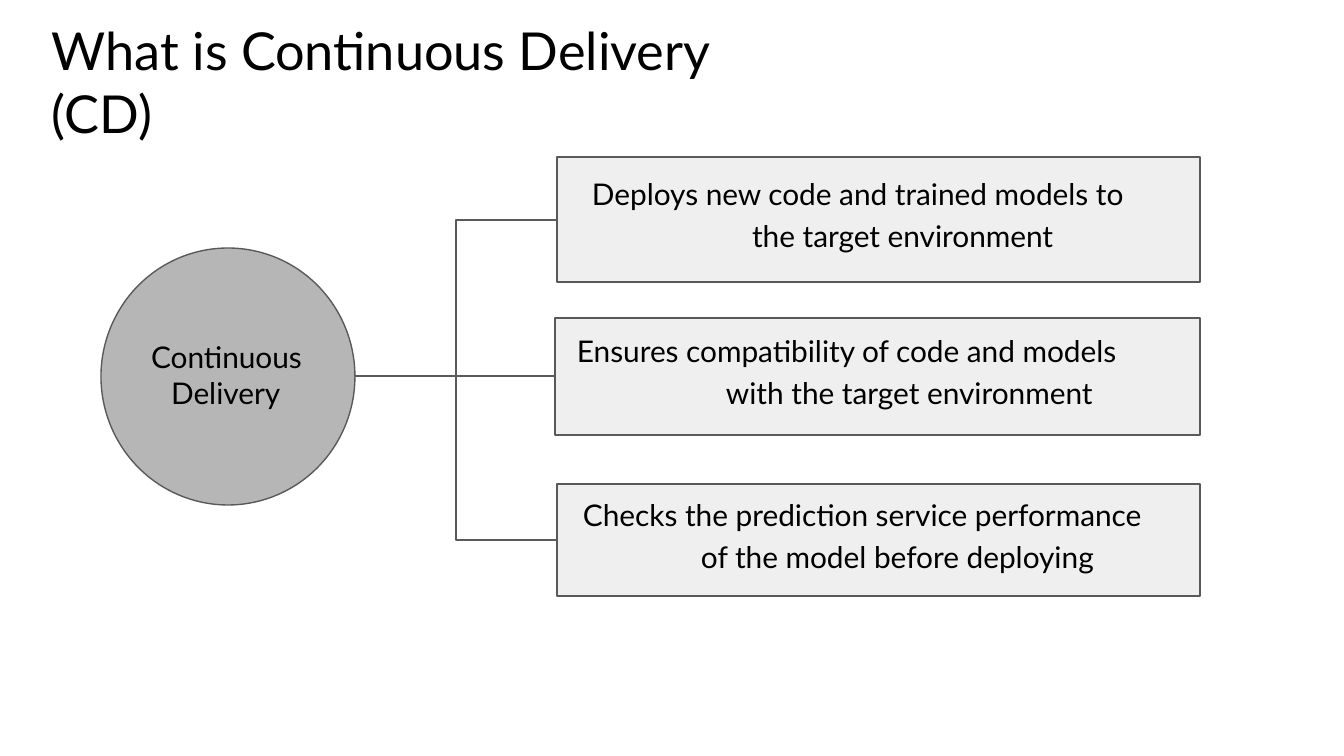
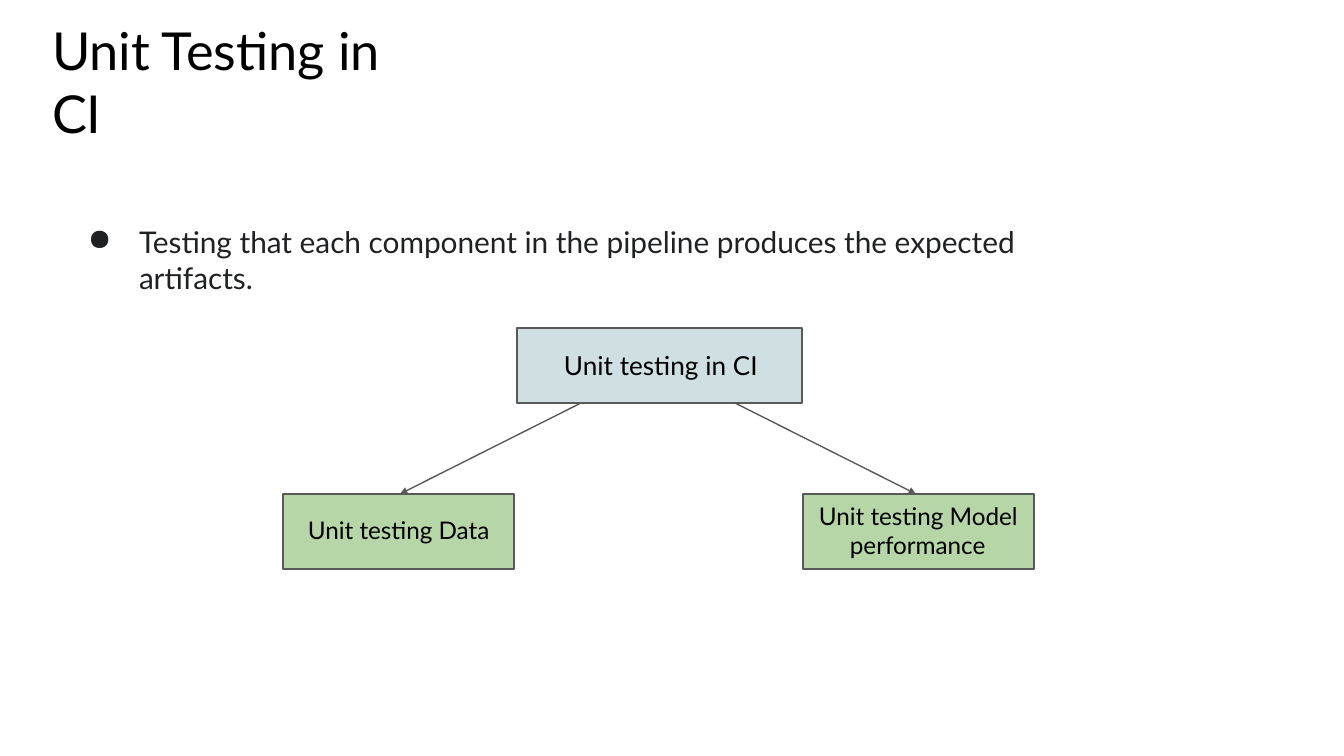
"""Build two slides on continuous delivery and on unit testing in CI."""
from lxml.etree import SubElement
from pptx import Presentation
from pptx.dml.color import RGBColor
from pptx.enum.shapes import MSO_CONNECTOR, MSO_SHAPE
from pptx.enum.text import MSO_ANCHOR, PP_ALIGN
from pptx.oxml.ns import qn
from pptx.util import Pt

PX = 9144000 / 1344
FONT = "Lato"
BLACK = RGBColor(0x00, 0x00, 0x00)
INK = RGBColor(0x1F, 0x21, 0x23)
OUTLINE = RGBColor(0x59, 0x59, 0x59)
CIRCLE_GREY = RGBColor(0xB6, 0xB6, 0xB6)
BOX_GREY = RGBColor(0xEF, 0xEF, 0xEF)
BLUE = RGBColor(0xCF, 0xDF, 0xE2)
GREEN = RGBColor(0xB6, 0xD6, 0xA8)


def add_text(slide, bounds, text, size, insets=(0, 1, 10), hang=(0, 0),
             spacing=1.0, color=BLACK, fill=None, preset=MSO_SHAPE.RECTANGLE, bullet=None):
    """Add text in a filled, outlined shape, or in a plain box without a fill."""
    place = [round(length * PX) for length in bounds]
    if fill is None:
        shape = slide.shapes.add_textbox(*place)
    else:
        shape = slide.shapes.add_shape(preset, *place)
        shape.shadow.inherit = False
        shape.fill.solid()
        shape.fill.fore_color.rgb = fill
        shape.line.color.rgb = OUTLINE
        shape.line.width = Pt(0.75)
    left, top, right = (round(inset * PX) for inset in insets)
    frame = shape.text_frame
    frame_format = {"word_wrap": True, "vertical_anchor": MSO_ANCHOR.TOP, "margin_left": left,
                    "margin_top": top, "margin_right": right, "margin_bottom": 0}
    for name, value in frame_format.items():
        setattr(frame, name, value)
    paragraph = frame.paragraphs[0]
    paragraph.text = text
    paragraph.alignment = PP_ALIGN.LEFT
    paragraph.line_spacing = spacing
    properties = paragraph._p.get_or_add_pPr()
    for name, value in zip(("marL", "indent"), hang):
        properties.set(name, str(round(value * PX)))
    if bullet:
        SubElement(properties, qn("a:buChar")).set("char", bullet)
    font = paragraph.runs[0].font
    for name, value in {"name": FONT, "size": Pt(size)}.items():
        setattr(font, name, value)
    font.color.rgb = color


def add_line(slide, kind, ends, arrow=False):
    """Join two points with a thin line, with an arrowhead if asked."""
    line = slide.shapes.add_connector(kind, *[round(length * PX) for length in ends])
    line.line.color.rgb = OUTLINE
    line.line.width = Pt(0.75)
    if arrow:
        head = SubElement(line.line._get_or_add_ln(), qn("a:tailEnd"))
        for name, value in {"type": "triangle", "w": "sm", "len": "sm"}.items():
            head.set(name, value)
    SubElement(line._element.spPr, qn("a:effectLst"))


presentation = Presentation()
presentation.slide_width = round(1344 * PX)
presentation.slide_height = round(756 * PX)

slides = []
for title, width in (("What is Continuous Delivery (CD)", 774), ("Unit Testing in CI", 393)):
    slide = presentation.slides.add_slide(presentation.slide_layouts[6])
    add_text(slide, (51, 17, width, 66), title, 28, hang=(1, 0))
    slides.append(slide)
delivery_slide, testing_slide = slides

add_text(delivery_slide, (101, 248, 254, 257), "Continuous Delivery", 16, (12, 53, 8),
         (21, -20), fill=CIRCLE_GREY, preset=MSO_SHAPE.OVAL)
circle_right, circle_middle = 355, 376
tasks = (
    ("Deploys new code and trained models to the target environment",
     (557, 157, 643, 125), (34, 13, 42), (161, -160), MSO_CONNECTOR.ELBOW, 220),
    ("Ensures compatibility of code and models with the target environment",
     (555, 318, 645, 117), (20, 9, 30), (151, -149), MSO_CONNECTOR.STRAIGHT, 376),
    ("Checks the prediction service performance of the model before deploying",
     (557, 484, 643, 112), (24, 7, 34), (120, -118), MSO_CONNECTOR.ELBOW, 540),
)
for text, bounds, insets, hang, kind, middle in tasks:
    add_text(delivery_slide, bounds, text, 16, insets, hang, 1.16, fill=BOX_GREY)
    add_line(delivery_slide, kind, (circle_right, circle_middle, bounds[0], middle))

add_text(testing_slide, (86, 223, 1042, 39),
         "Testing that each component in the pipeline produces the expected artifacts.",
         16, hang=(53, -51), color=INK, bullet="●")
add_text(testing_slide, (517, 328, 285, 75), "Unit testing in CI", 14, (0, 21, 0), (47, 0),
         fill=BLUE)
branches = (
    ("Unit testing Data", 283, 21, (25, 0), 581, 400),
    ("Unit testing Model performance", 803, 7, (47, -31), 735, 916),
)
for text, left, top_inset, hang, start, end in branches:
    add_text(testing_slide, (left, 494, 231, 75), text, 13, (0, top_inset, 0), hang, fill=GREEN)
    add_line(testing_slide, MSO_CONNECTOR.STRAIGHT, (start, 403, end, 494), arrow=True)

presentation.save("out.pptx")
